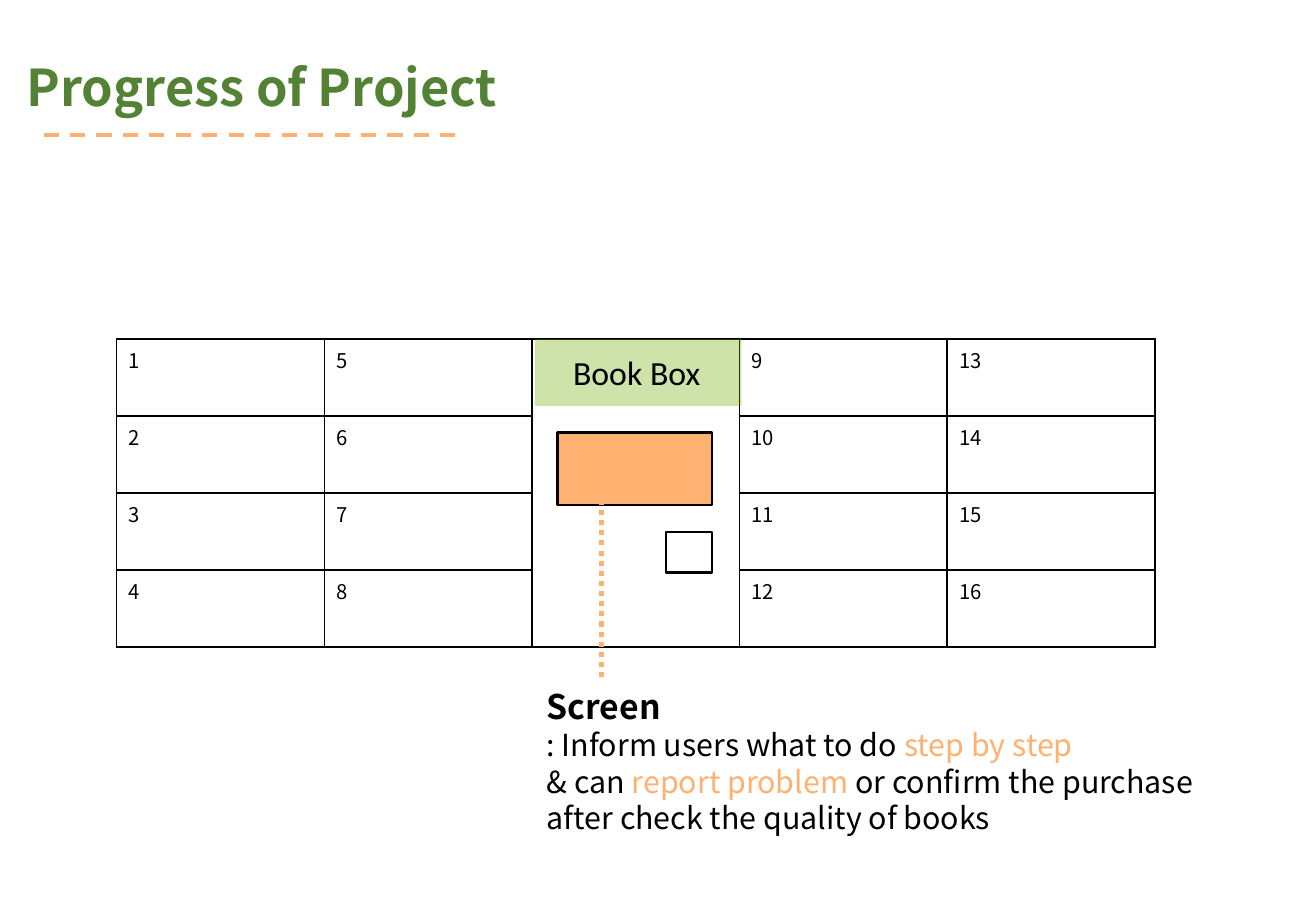
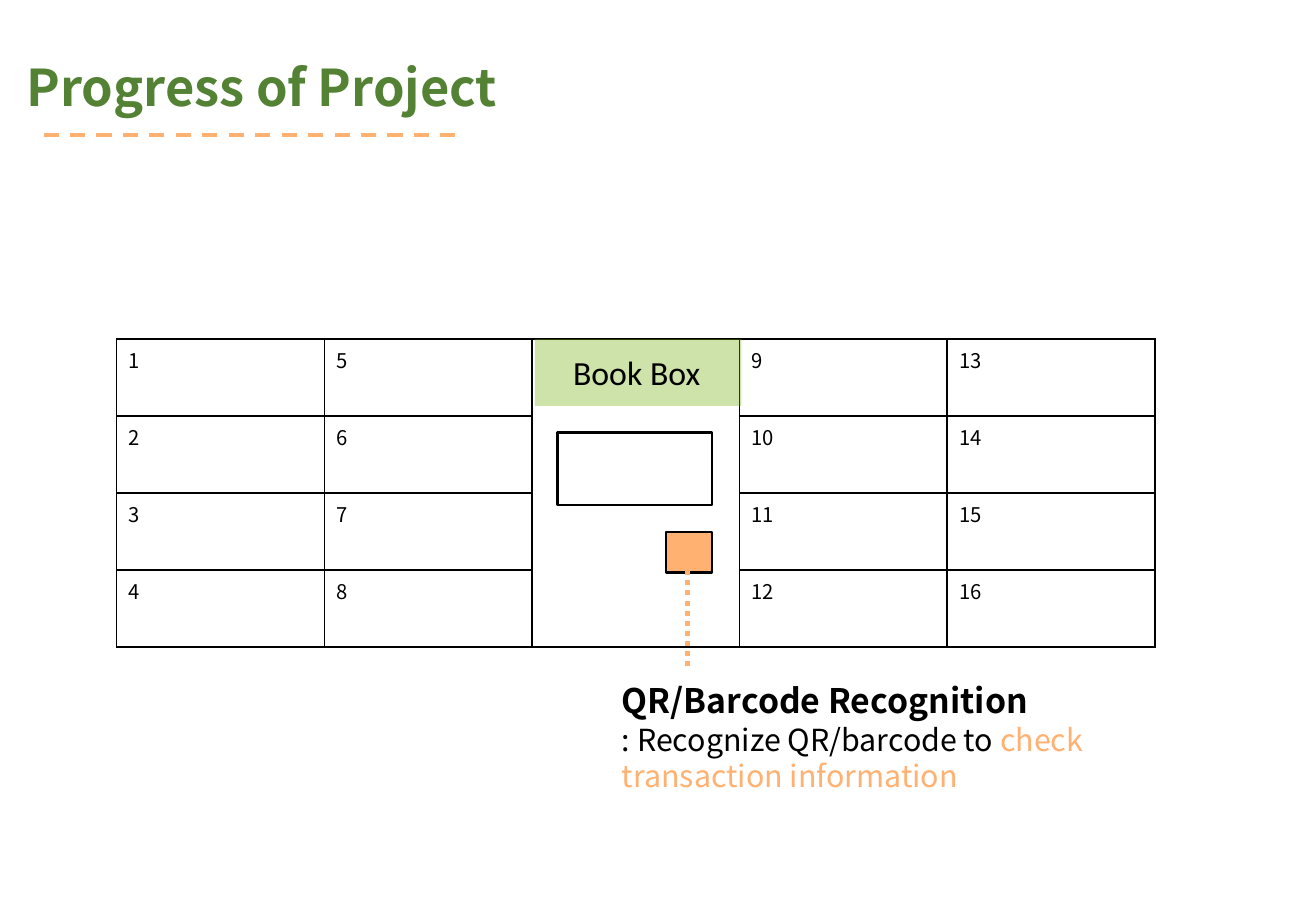
from lxml import etree
from pptx import Presentation
from pptx.dml.color import RGBColor
from pptx.enum.dml import MSO_LINE
from pptx.enum.shapes import MSO_CONNECTOR, MSO_SHAPE
from pptx.enum.text import MSO_ANCHOR
from pptx.oxml import parse_xml
from pptx.oxml.ns import nsdecls, qn
from pptx.util import Cm, Pt

RECT = MSO_SHAPE.RECTANGLE
STRAIGHT = MSO_CONNECTOR.STRAIGHT
DASH, DOT = MSO_LINE.DASH, MSO_LINE.ROUND_DOT
BOTTOM = MSO_ANCHOR.BOTTOM

FONT, LABEL_FONT = "Noto Sans CJK KR", "Calibri"
GREEN, LIME, ORANGE, BLACK = "548235", "6EAF05", "FFB171", "000000"
COL_W, ROW_H = 4.34, 1.61
ROWS, COLS, BOX_COL = 4, 5, 2
NUMBERED_COLS = [c for c in range(COLS) if c != BOX_COL]

HEADING = {"size": Pt(20), "bold": True}
BODY = {"size": Pt(18), "bold": False}

SLIDES = [
    {
        "highlight": "screen",
        "leader": (12.57, 10.24, 14.22),
        "box": (11.18, 14.22, 15.24, 3.43),
        "text": [
            [("Screen", HEADING, BLACK)],
            [(": Inform users what to do ", BODY, BLACK),
             ("step by step", BODY, ORANGE)],
            [("& can ", BODY, BLACK),
             ("report problem ", BODY, ORANGE),
             ("or confirm the purchase after check the quality of books", BODY, BLACK)],
        ],
    },
    {
        "highlight": "scanner",
        "leader": (14.38, 11.71, 14.02),
        "box": (12.75, 14.1, 11.84, 2.64),
        "text": [
            [("QR/Barcode Recognition", HEADING, BLACK)],
            [(": Recognize QR/barcode to ", BODY, BLACK),
             ("check transaction information", BODY, ORANGE)],
        ],
    },
]
PARTS = {"screen": (11.66, 9.04, 3.23, 1.52), "scanner": (13.92, 11.13, 0.97, 0.84)}


def add_text(s, box, paragraphs, font=FONT):
    """Add a text box; each paragraph is a list of (text, format, colour)."""
    tf = s.shapes.add_textbox(*map(Cm, box)).text_frame
    tf.word_wrap = True
    for i, runs in enumerate(paragraphs):
        p = tf.add_paragraph() if i else tf.paragraphs[0]
        for text, fmt, color in runs:
            r = p.add_run()
            r.text = text
            r.font.name = font
            r.font.color.rgb = RGBColor.from_string(color)
            for name, value in fmt.items():
                setattr(r.font, name, value)
    return tf


def add_line(s, ends, width, dash):
    line = s.shapes.add_connector(STRAIGHT, *map(Cm, ends))
    line.line.color.rgb = RGBColor.from_string(ORANGE)
    line.line.width = Pt(width)
    line.line.dash_style = dash
    etree.SubElement(line._element.spPr, qn("a:effectLst"))


prs = Presentation()
prs.slide_width, prs.slide_height = Cm(27.51), Cm(19.05)

for content in SLIDES:
    s = prs.slides.add_slide(prs.slide_layouts[6])

    # Title and its underline
    add_line(s, (0.91, 2.82, 9.6, 2.82), 2.25, DASH)
    tf = add_text(s, (0, 0.97, 13.61, 2.29),
                  [[("Progress of Project", {"size": Pt(30), "bold": True}, GREEN)]])
    tf.vertical_anchor = BOTTOM
    tf.margin_left, tf.margin_bottom = Cm(0.56), Cm(0.81)

    # Locker grid, numbered down each column
    table = s.shapes.add_table(ROWS, COLS, Cm(2.44), Cm(7.09),
                               Cm(COLS * COL_W), Cm(ROWS * ROW_H)).table
    table.first_row = table.horz_banding = False
    for cell in table.iter_cells():
        cell.fill.background()
        tcPr = cell._tc.get_or_add_tcPr()
        for i, side in enumerate(("lnL", "lnR", "lnT", "lnB")):
            tcPr.insert(i, parse_xml(
                f'<a:{side} {nsdecls("a")} w="12700"><a:solidFill>'
                f'<a:srgbClr val="{BLACK}"/></a:solidFill></a:{side}>'))
    table.cell(0, BOX_COL).merge(table.cell(ROWS - 1, BOX_COL))
    for i, col in enumerate(NUMBERED_COLS):
        for row in range(ROWS):
            r = table.cell(row, col).text_frame.paragraphs[0].add_run()
            r.text = str(i * ROWS + row + 1)
            r.font.name, r.font.size = FONT, Pt(12)
            r.font.color.rgb = RGBColor.from_string(BLACK)

    # Translucent header of the box
    header = s.shapes.add_shape(RECT, Cm(11.18), Cm(7.09), Cm(4.32), Cm(1.4))
    header.shadow.inherit = False
    header.fill.solid()
    header.fill.fore_color.rgb = RGBColor.from_string(LIME)
    header.line.fill.background()
    color = header._element.spPr.find(qn("a:solidFill"))[0]
    etree.SubElement(color, qn("a:alpha"), val="34000")
    tf = add_text(s, (11.73, 7.24, 3.23, 1.12),
                  [[("Book Box", {"size": Pt(20)}, BLACK)]], LABEL_FONT)
    tf.word_wrap = False

    # Screen and scanner, one of them highlighted
    for name, box in PARTS.items():
        part = s.shapes.add_shape(RECT, *map(Cm, box))
        part.shadow.inherit = False
        part.line.color.rgb = RGBColor.from_string(BLACK)
        part.line.width = Pt(1.5)
        if name == content["highlight"]:
            part.fill.solid()
            part.fill.fore_color.rgb = RGBColor.from_string(ORANGE)
        else:
            part.fill.background()

    # Callout
    x, top, bottom = content["leader"]
    add_line(s, (x, top, x, bottom), 3, DOT)
    add_text(s, content["box"], content["text"])

prs.save("out.pptx")
